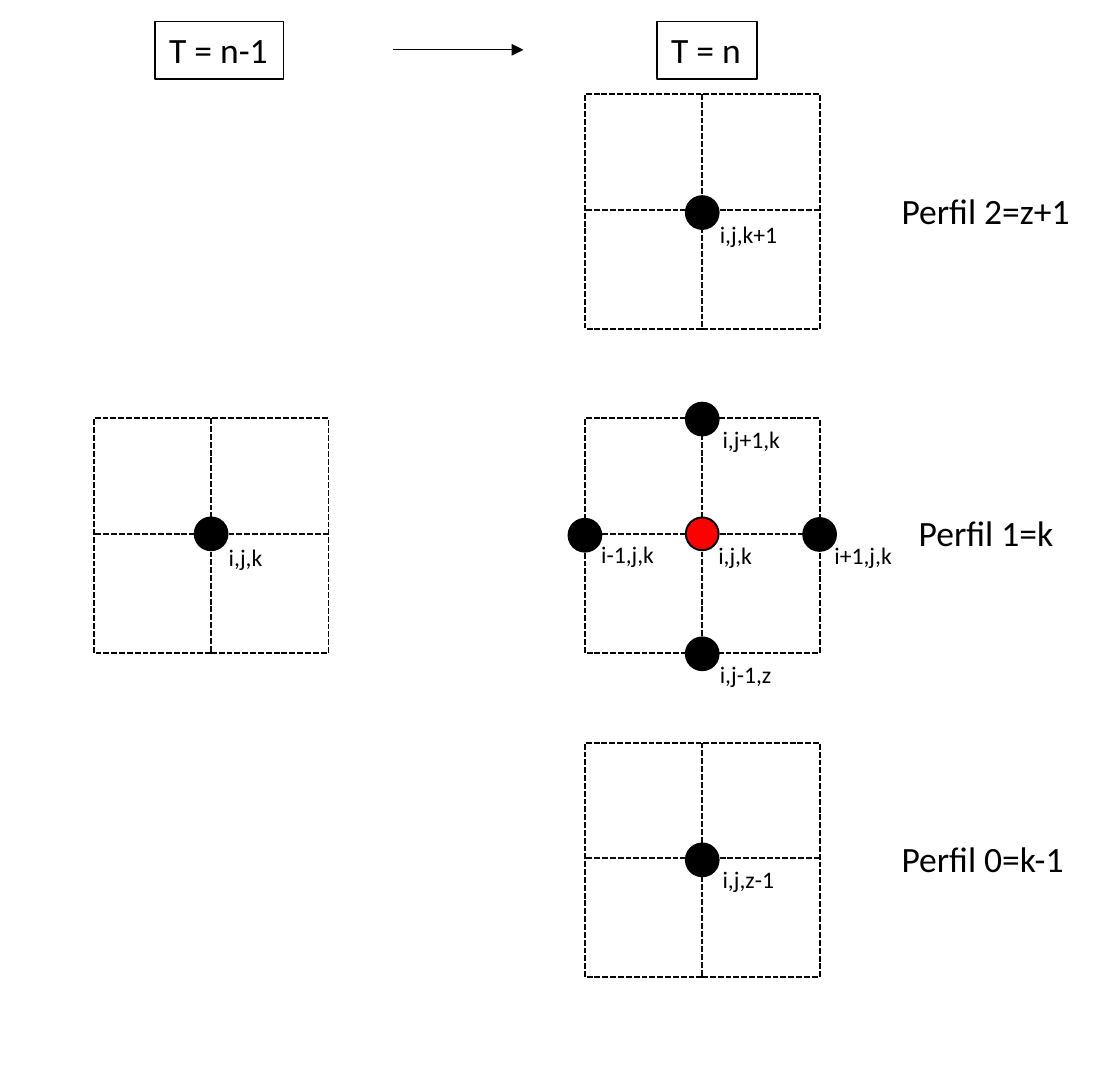
from pptx import Presentation
from pptx.dml.color import RGBColor
from pptx.enum.dml import MSO_LINE_DASH_STYLE as Dash
from pptx.enum.shapes import MSO_CONNECTOR_TYPE as Connector, MSO_SHAPE as Shape
from pptx.enum.text import MSO_ANCHOR as Anchor, MSO_AUTO_SIZE as AutoSize, PP_ALIGN as Align
from pptx.oxml.ns import qn
from pptx.util import Pt
from lxml import etree

BLACK = RGBColor(0x00, 0x00, 0x00)
DARK = RGBColor(0x0D, 0x0D, 0x0D)
RED = RGBColor(0xFF, 0x00, 0x00)

CELL = 118.8
HALF = CELL / 2
PREVIOUS_X, CURRENT_X = 47.5, 296.1
UPPER_Y, MIDDLE_Y, LOWER_Y = (47.6 + 164.1 * level for level in range(3))


class StencilDiagram:
    font = "Calibri"
    node_size = 16.6

    def __init__(self, slide):
        self.shapes = slide.shapes

    def outline(self, shape, color, width, dash=None):
        shape.line.color.rgb = color
        shape.line.width = Pt(width)
        if dash is not None:
            shape.line.dash_style = dash

    def preset(self, kind, left, top, width, height, fill=None):
        shape = self.shapes.add_shape(kind, Pt(left), Pt(top), Pt(width), Pt(height))
        shape.shadow.inherit = False
        if fill is None:
            shape.fill.background()
        else:
            shape.fill.solid()
            shape.fill.fore_color.rgb = fill
        return shape

    def line(self, x1, y1, x2, y2, color, width, dash=None):
        line = self.shapes.add_connector(Connector.STRAIGHT, Pt(x1), Pt(y1), Pt(x2), Pt(y2))
        self.outline(line, color, width, dash)
        etree.SubElement(line._element.spPr, qn("a:effectLst"))
        return line

    def arrow(self, x1, y1, x2, y2):
        arrow = self.line(x1, y1, x2, y2, BLACK, 0.5)
        outline = arrow._element.spPr.find(qn("a:ln"))
        etree.SubElement(outline, qn("a:tailEnd"), type="triangle")

    def grid(self, left, top):
        """Draw a dashed square split into four quarters."""
        square = self.preset(Shape.RECTANGLE, left, top, CELL, CELL)
        self.outline(square, BLACK, 1, Dash.SQUARE_DOT)
        middle_x, middle_y = left + HALF, top + HALF - 0.9
        self.line(middle_x, top, middle_x, top + CELL, DARK, 1, Dash.SQUARE_DOT)
        self.line(left + CELL, middle_y, left, middle_y, DARK, 1, Dash.SQUARE_DOT)

    def node(self, x, y, fill):
        """Draw a grid point centred on x, y."""
        radius = self.node_size / 2
        dot = self.preset(Shape.OVAL, x - radius, y - radius, self.node_size, self.node_size, fill)
        self.outline(dot, BLACK, 1)

    def set_text(self, shape, text, size):
        frame = shape.text_frame
        frame.text = text
        frame.word_wrap = False
        frame.auto_size = AutoSize.SHAPE_TO_FIT_TEXT
        frame.vertical_anchor = Anchor.TOP
        paragraph = frame.paragraphs[0]
        paragraph.alignment = Align.LEFT
        font = paragraph.runs[0].font
        font.name, font.size, font.color.rgb = self.font, Pt(size), BLACK

    def label(self, text, left, top, width, height, size):
        box = self.shapes.add_textbox(Pt(left), Pt(top), Pt(width), Pt(height))
        self.set_text(box, text, size)

    def time_box(self, text, left, width):
        box = self.preset(Shape.RECTANGLE, left, 10.8, width, 29.1)
        self.outline(box, BLACK, 0.75)
        self.set_text(box, text, 18)


def main():
    deck = Presentation()
    deck.slide_width, deck.slide_height = Pt(566.93), Pt(540)
    diagram = StencilDiagram(deck.slides.add_slide(deck.slide_layouts[6]))

    for left, top in ((PREVIOUS_X, MIDDLE_Y), (CURRENT_X, MIDDLE_Y),
                      (CURRENT_X, UPPER_Y), (CURRENT_X, LOWER_Y)):
        diagram.grid(left, top)

    diagram.time_box("T = n-1", 78.5, 65)
    diagram.time_box("T = n", 332.6, 50.6)

    # centre x, centre y, fill, index text, text width, text shift x and y
    middle = MIDDLE_Y + HALF - 0.9
    center = CURRENT_X + HALF
    nodes = (
        (PREVIOUS_X + HALF, middle, BLACK, "i,j,k", 31.7, 1.8, 1),
        (center, middle, RED, "i,j,k", 31.7, 1, 0),
        (CURRENT_X, middle + 0.7, BLACK, "i-1,j,k", 41.5, 1.1, -1),
        (center, MIDDLE_Y + 0.4, BLACK, "i,j+1,k", 44, 3.2, -0.4),
        (CURRENT_X + CELL, middle + 0.3, BLACK, "i+1,j,k", 44, 0.4, -0.4),
        (center, MIDDLE_Y + CELL + 0.4, BLACK, "i,j-1,z", 41, 1.8, -0.4),
        (center, LOWER_Y + HALF, BLACK, "i,j,z-1", 41, 3.2, -1),
        (center, UPPER_Y + HALF + 0.6, BLACK, "i,j,k+1", 44, 1.8, 0.3),
    )
    for x, y, fill, *_ in nodes:
        diagram.node(x, y, fill)

    profiles = (("Perfil 2=z+1", 449.3, 92.2, 100.8), ("Perfil 1=k", 458, 254.9, 83.5),
                ("Perfil 0=k-1", 449.3, 419.8, 97.9))
    for text, left, top, width in profiles:
        diagram.label(text, left, top, width, 29.1, 18)

    for x, y, _, index, width, shift_x, shift_y in nodes:
        diagram.label(index, x + shift_x, y + shift_y, width, 21.8, 12)

    diagram.arrow(198.7, 25.2, 265, 25.2)
    deck.save("out.pptx")


if __name__ == "__main__":
    main()
